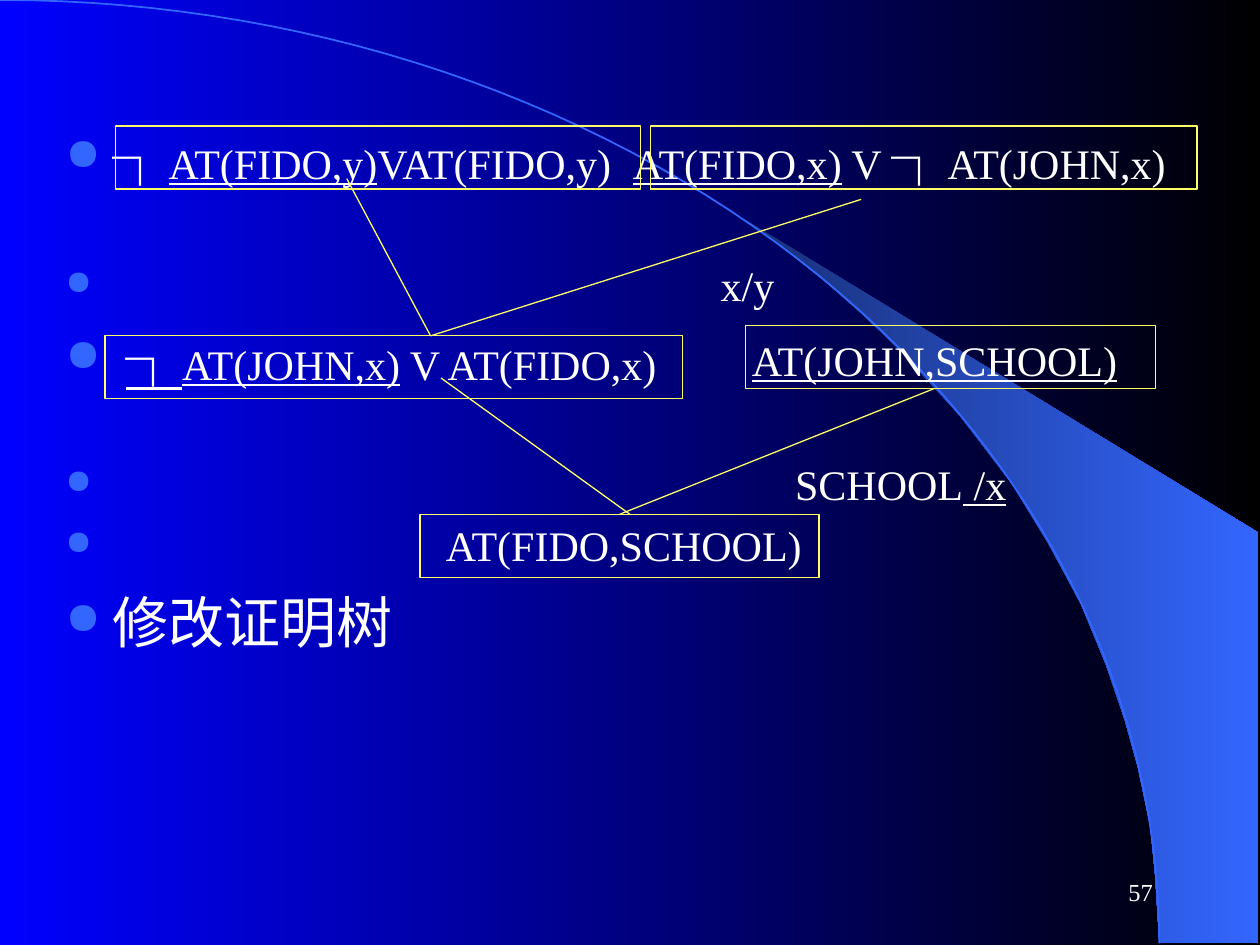
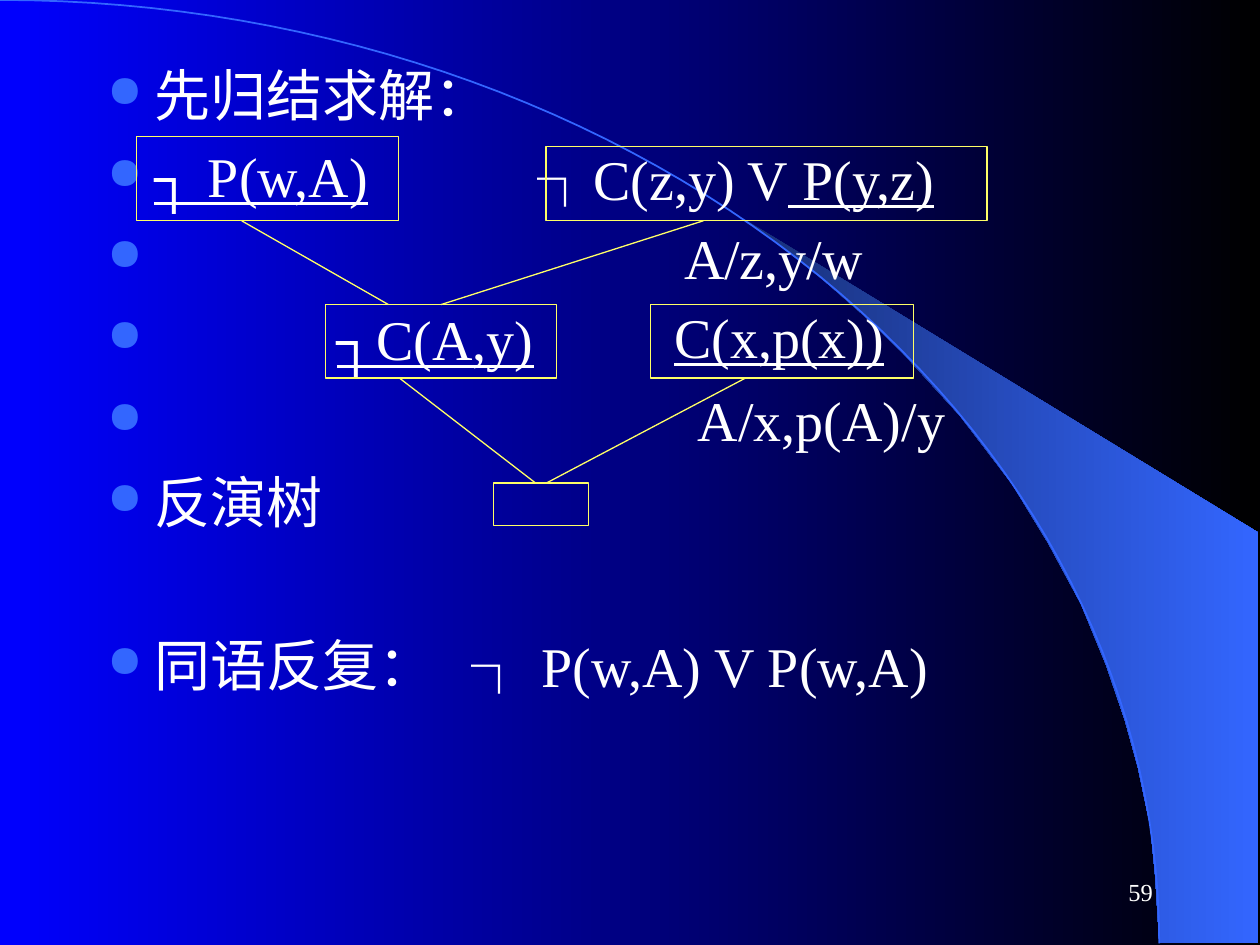
from math import cos, pi, sin

from lxml.etree import SubElement
from pptx import Presentation
from pptx.dml.color import RGBColor
from pptx.enum.shapes import MSO_CONNECTOR, MSO_SHAPE
from pptx.enum.text import MSO_ANCHOR, PP_ALIGN
from pptx.oxml.ns import qn
from pptx.util import Cm, Pt

# Shared look
WHITE, YELLOW, BLUE = "FFFFFF", "FFFF66", "3366FF"
BACKGROUND = ("0000FF", "000000")
SWEEP = ("182F76", BLUE)
LATIN_FONT, CHINESE_FONT = "Times New Roman", "Noto Sans CJK SC"
INSET = 0.25
HANGING = 0.95
TOP = 0

# Outline of the sweep below the arc, in cm
SWEEP_POINTS = [
    (23.37, 19), (25.37, 19.02), (25.37, 10.74), (14.96, 4.39), (15.85, 5.05),
    (16.59, 5.64), (17.4, 6.35), (18.19, 7.11), (19.35, 8.38), (20.4, 9.75),
    (21.13, 10.95), (21.79, 12.17), (22.3, 13.41), (22.68, 14.53),
    (22.94, 15.47), (23.19, 16.66), (23.29, 17.68),
]
ARC_WIDTH, ARC_HEIGHT, ARC_STEPS = 23.37, 19.02, 60


def color(hex_value):
    return RGBColor.from_string(hex_value)


def set_gradient(fill, colors):
    fill.gradient()
    fill.gradient_angle = 0
    for stop, hex_value in zip(fill.gradient_stops, colors):
        stop.color.rgb = color(hex_value)


def add_outline(slide, points, close):
    """Draw straight segments through points given in cm."""
    corners = [(Cm(x), Cm(y)) for x, y in points]
    builder = slide.shapes.build_freeform(*corners[0])
    builder.add_line_segments(corners[1:], close=close)
    shape = builder.convert_to_shape()
    shape.shadow.inherit = False
    return shape


def add_slide(presentation, number):
    """Add a slide with background, sweep, arc and slide number."""
    slide = presentation.slides.add_slide(presentation.slide_layouts[6])
    set_gradient(slide.background.fill, BACKGROUND)

    sweep = add_outline(slide, SWEEP_POINTS, True)
    set_gradient(sweep.fill, SWEEP)
    sweep.line.fill.background()

    angles = [pi / 2 * step / ARC_STEPS for step in range(ARC_STEPS + 1)]
    arc = add_outline(slide, [(ARC_WIDTH * sin(angle), ARC_HEIGHT * (1 - cos(angle)))
                              for angle in angles], False)
    arc.fill.background()
    arc.line.color.rgb = color(BLUE)
    arc.line.width = Pt(1)

    frame = add_text_frame(slide, 18.21, 17.35, 5.28, 1.27)
    frame.vertical_anchor = MSO_ANCHOR.MIDDLE
    frame.text = str(number)
    frame.paragraphs[0].alignment = PP_ALIGN.RIGHT
    format_run(frame.paragraphs[0].runs[0], 14)
    return slide


def add_text_frame(slide, left, top, width, height, inset=INSET, inset_top=0.0):
    box = slide.shapes.add_textbox(Cm(left), Cm(top), Cm(width), Cm(height))
    frame = box.text_frame
    frame.word_wrap = True
    frame.margin_left = frame.margin_right = Cm(inset)
    frame.margin_top, frame.margin_bottom = Cm(inset_top), 0
    return frame


def format_run(run, size, style=""):
    """Style letters: u underlines, n marks a negation sign."""
    negation = "n" in style
    font = run.font
    font.size = Pt(32 if negation else size)
    font.bold = negation
    font.underline = "u" in style
    font.color.rgb = color(WHITE)
    font.name = CHINESE_FONT if negation else LATIN_FONT
    SubElement(run._r.get_or_add_rPr(), qn("a:ea"), typeface=CHINESE_FONT)


def write_runs(paragraph, runs, size, line_height):
    paragraph.line_spacing = Pt(line_height)
    for text, style in runs:
        run = paragraph.add_run()
        run.text = text
        format_run(run, size, style)


def add_bullet(paragraph, indent):
    properties = paragraph._p.get_or_add_pPr()
    properties.set("marL", str(Cm(indent)))
    properties.set("indent", str(-Cm(indent)))
    bullet_color = SubElement(properties, qn("a:buClr"))
    SubElement(bullet_color, qn("a:srgbClr"), val=BLUE)
    SubElement(properties, qn("a:buSzPct"), val="80000")
    SubElement(properties, qn("a:buChar"), char="●")


def add_body(slide, left, width, inset_top, rows):
    """Rows hold runs, size, line height, space before and text indent."""
    frame = add_text_frame(slide, left, 1.07, width, 15.88, inset_top=inset_top)
    for index, (runs, size, line_height, space_before, indent) in enumerate(rows):
        paragraph = frame.add_paragraph() if index else frame.paragraphs[0]
        add_bullet(paragraph, indent)
        if space_before:
            paragraph.space_before = Pt(space_before)
        write_runs(paragraph, runs, size, line_height)


def add_clause(slide, left, top, width, runs, size, line_height):
    frame = add_text_frame(slide, left, top, width, 1.3, inset=0)
    write_runs(frame.paragraphs[0], runs, size, line_height)


def add_frame(slide, left, top, width, height):
    frame = slide.shapes.add_shape(MSO_SHAPE.RECTANGLE, Cm(left), Cm(top),
                                   Cm(width), Cm(height))
    frame.shadow.inherit = False
    frame.fill.background()
    frame.line.color.rgb = color(YELLOW)
    frame.line.width = Pt(0.75)
    return frame


def add_branch(slide, start, end, child=None):
    """Draw a tree branch, joined to the top of child if there is one."""
    branch = slide.shapes.add_connector(
        MSO_CONNECTOR.STRAIGHT, *(Cm(value) for value in start + end))
    branch.line.color.rgb = color(YELLOW)
    branch.line.width = Pt(0.75)
    SubElement(branch._element.spPr, qn("a:effectLst"))
    if child is not None:
        branch.end_connect(child, TOP)


def build_proof_tree(presentation):
    slide = add_slide(presentation, 57)
    add_body(slide, 1.07, 23.29, 1.47, [
        ([("┐", "n"), ("AT(FIDO,y)", "u"), ("VAT(FIDO,y)", "")], 24, 37, 0, HANGING),
        ([("x/y", "")], 24, 28, 40, 13.21),
        ([("┐", "nu"), ("AT(JOHN,x)", "u"), (" V AT(FIDO,x)", "")], 24, 37, 9.7, 1.22),
        ([("SCHOOL", ""), (" /x", "u")], 24, 28, 39, 14.71),
        ([("AT(FIDO,SCHOOL)", "")], 24, 28, 7, 7.67),
        ([("修改证明树", "")], 32, 37, 11.4, HANGING),
    ])
    add_clause(slide, 12.76, 2.54, 12, [
        ("AT(FIDO,x)", "u"), (" V ", ""), ("┐", "n"), ("AT(JOHN,x)", "")], 24, 37)
    add_clause(slide, 15.16, 6.77, 8.5, [("AT(JOHN,SCHOOL)", "u")], 24, 28)

    # Clause frames and branches
    add_frame(slide, 2.33, 2.54, 10.58, 1.27)
    add_frame(slide, 13.12, 2.54, 11.01, 1.27)
    add_frame(slide, 2.12, 6.77, 11.64, 1.27)
    add_frame(slide, 15.03, 6.56, 8.26, 1.27)
    answer = add_frame(slide, 8.47, 10.37, 8.04, 1.27)
    add_branch(slide, (6.99, 3.6), (8.68, 6.77))
    add_branch(slide, (17.36, 4.02), (8.68, 6.77))
    add_branch(slide, (8.89, 7.62), (12.7, 10.37))
    add_branch(slide, (18.84, 7.83), (12.49, 10.37), answer)


def build_refutation_tree(presentation):
    slide = add_slide(presentation, 59)
    rows = [
        ([("先归结求解：", "")], HANGING),
        ([("┐ P(w,A)", "u")], HANGING),
        ([("A/z,y/w", "")], 11.63),
        ([("┐C(A,y)", "u")], 4.63),
        ([("A/x,p(A)/y", "")], 11.91),
        ([("反演树", "")], HANGING),
    ]
    body = [(runs, 32, 37, 9.5 if index else 0, indent)
            for index, (runs, indent) in enumerate(rows)]
    body.append(([("同语反复：", "")], 32, 37, 56, HANGING))
    add_body(slide, 1.91, 21.59, 0.2, body)
    add_clause(slide, 10.83, 2.96, 10, [
        ("┐", "n"), ("C(z,y) V", ""), (" P(y,z)", "u")], 32, 37)
    add_clause(slide, 13.59, 6.15, 6, [("C(x,p(x))", "u")], 32, 37)
    add_clause(slide, 9.51, 12.78, 12, [("┐", "n"), (" P(w,A) V P(w,A)", "")], 32, 37)

    # Clause frames and branches
    add_frame(slide, 2.75, 2.75, 5.29, 1.7)
    add_frame(slide, 11.01, 2.96, 8.89, 1.48)
    resolvent = add_frame(slide, 6.56, 6.14, 4.66, 1.48)
    add_frame(slide, 13.12, 6.14, 5.29, 1.48)
    add_frame(slide, 9.95, 9.74, 1.91, 0.85)
    add_branch(slide, (4.87, 4.45), (7.83, 6.14))
    add_branch(slide, (14.18, 4.45), (8.89, 6.14), resolvent)
    add_branch(slide, (8.05, 7.62), (10.8, 9.74))
    add_branch(slide, (15.03, 7.62), (11.01, 9.74))


def main():
    presentation = Presentation()
    presentation.slide_width, presentation.slide_height = Cm(25.4), Cm(19.05)
    build_proof_tree(presentation)
    build_refutation_tree(presentation)
    presentation.save("out.pptx")


if __name__ == "__main__":
    main()
